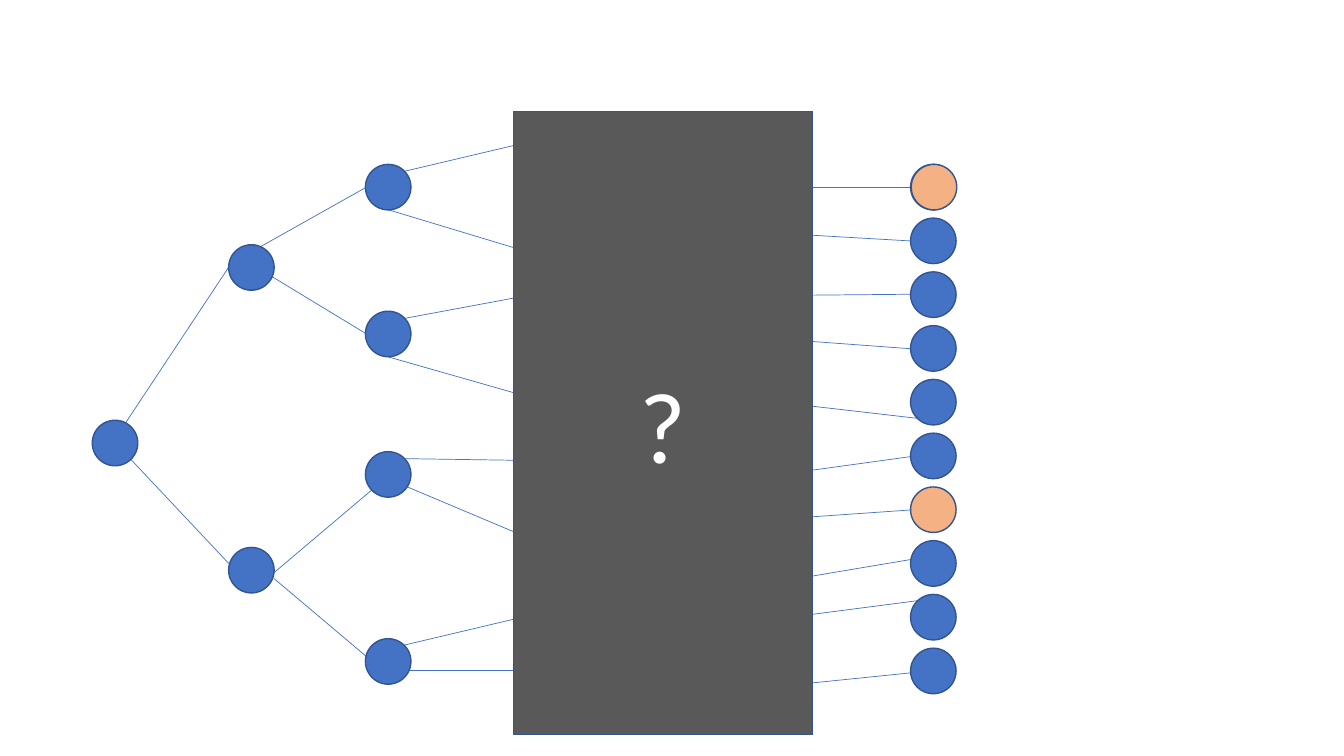
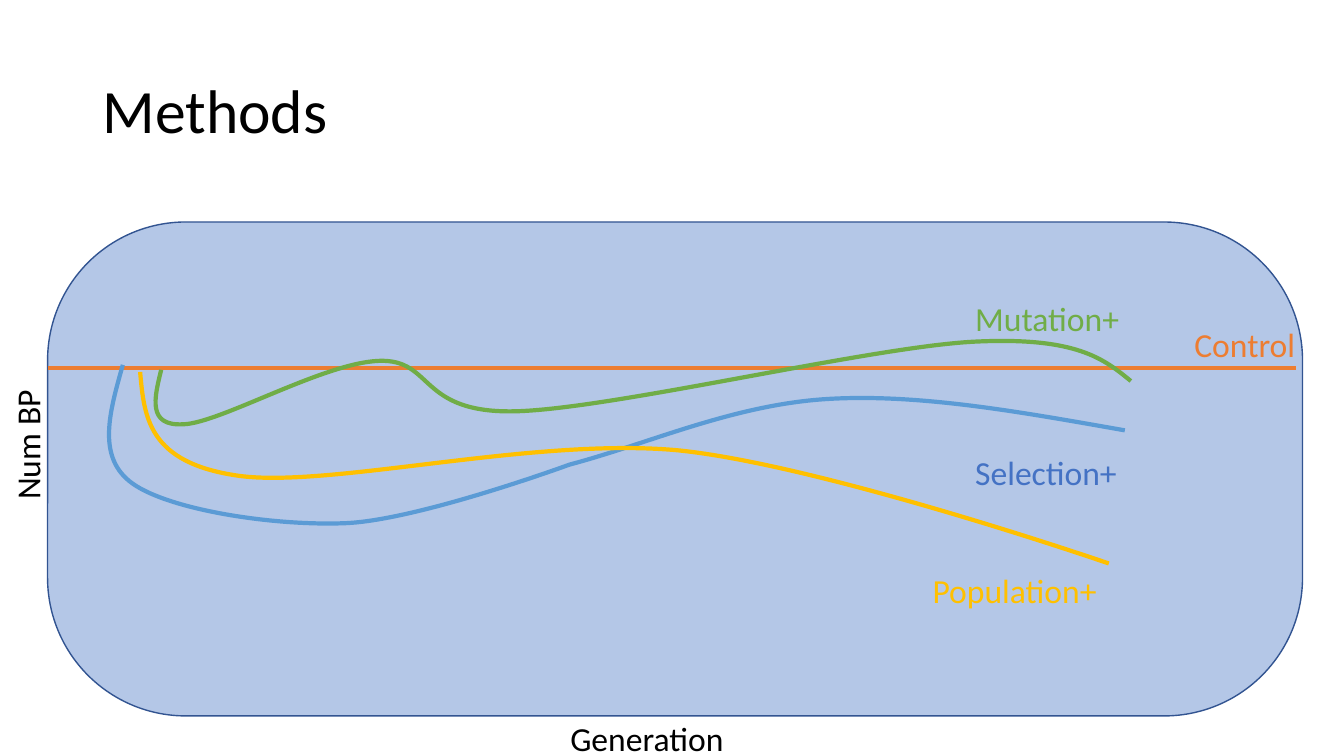
from lxml import etree
from pptx import Presentation
from pptx.dml.color import RGBColor
from pptx.enum import shapes, text
from pptx.oxml import parse_xml
from pptx.oxml.ns import nsdecls, qn
from pptx.util import Pt

BLUE = RGBColor(0x44, 0x72, 0xC4)
NAVY = RGBColor(0x32, 0x54, 0x91)
PEACH = RGBColor(0xF4, 0xB1, 0x83)
GREY = RGBColor(0x59, 0x59, 0x59)
PALE = RGBColor(0xB4, 0xC7, 0xE7)
ORANGE = RGBColor(0xED, 0x7D, 0x31)
GREEN = RGBColor(0x70, 0xAD, 0x47)
SKY = RGBColor(0x5B, 0x9B, 0xD5)
GOLD = RGBColor(0xFF, 0xC0, 0x00)
BLACK = RGBColor(0, 0, 0)
WHITE = RGBColor(0xFF, 0xFF, 0xFF)
FONT = "Calibri"

# Tree: each column is its left edge and the tops of its nodes
DOT = 32.5
TREE = [
    (65.9, [300.2]),
    (163.3, [174.8, 391]),
    (261, [117.4, 222.3, 322.6, 456.2]),
]
BRANCHES = [
    (82.8, 312.5, 163.4, 190.8),
    (82.8, 316.8, 163.4, 402.5),
    (179.3, 180, 261.4, 133.9),
    (187.9, 193.7, 261.4, 238.3),
    (195.8, 409, 265.7, 349.9),
    (195.8, 413.3, 265.7, 472.3),
    (288.7, 122.4, 377.3, 101.5),
    (277.2, 149.8, 377.3, 180),
    (288.7, 227.5, 377.3, 211),
    (277.2, 254.9, 383, 285.1),
    (288.7, 327.6, 383, 329),
    (277.2, 342, 383, 386.6),
    (288.7, 460.8, 383, 438.5),
    (280, 478.5, 386, 478.5),
]
BOX = (366.7, 79.6, 213.8, 445)

# Leaves: one even column, each with the line that leads back to the box
LEAF_X, LEAF_Y, LEAF_STEP, LEAVES = 650.4, 117.4, 38.4, 10
MARKED = 6
TOP_MARK = (650.9, 117.4)
EXITS = [
    (650.2, 133.9, 562.3, 133.9),
    (650.2, 172.1, 562.3, 167),
    (650.2, 210.2, 561.6, 211),
    (650.2, 249.1, 562.3, 242.6),
    (655.2, 298.8, 561.6, 288),
    (650.2, 326.2, 561.6, 338.4),
    (650.2, 364.3, 576.7, 369.4),
    (668.2, 396.7, 569.5, 413.3),
    (655.2, 429.1, 566.6, 440.6),
    (668.2, 478.8, 569.5, 488.9),
]

PANEL = (34, 158.6, 896.4, 352.8)
CONTROL = (34, 262.8, 925.9, 262.8)
LABELS = [
    ("Mutation+", (689.5, 209.2, 118, 36), GREEN, 0),
    ("Selection+", (689.5, 319, 116.6, 36), BLUE, 0),
    ("Population+", (659, 403.7, 133.2, 36), GOLD, 0),
    ("Control", (846, 228.2, 87.1, 36), ORANGE, 0),
    ("Num BP", (-27.4, 299.2, 93.6, 36), BLACK, 270),
    ("Generation", (400.3, 509, 125.3, 36), BLACK, 0),
]
# Curves: a start, then control, control, end for each cubic piece
CURVES = [
    (GREEN, [(115.2, 264.2),
             (110.2, 284.4), (105.1, 304.6), (131, 303.1),
             (157, 302.4), (231.1, 259.2), (270.7, 257.8),
             (310.3, 256.3), (298.1, 295.9), (369.4, 293.8),
             (439.9, 291.6), (622.8, 247.7), (696.2, 244.1),
             (769, 240.5), (788.4, 256.3), (807.8, 272.2)]),
    (SKY, [(87.8, 260.6),
           (78.5, 293.8), (68.4, 326.9), (95, 345.6),
           (121.7, 364.3), (195.1, 375.8), (247, 373.7),
           (298.8, 371.5), (406.8, 331.9), (406.8, 331.9),
           (463.7, 316.8), (523.4, 289.4), (589.7, 285.1),
           (655.9, 280.8), (730.1, 294.5), (803.5, 307.4)]),
    (GOLD, [(100.1, 265.7),
            (103, 298.1), (105.8, 330.5), (169.9, 339.8),
            (234.7, 349.2), (381.6, 311.8), (485.3, 321.8),
            (589, 332.6), (792, 402.5), (792, 402.5)]),
]
STEPS = 24


def pts(nums):
    return [Pt(n) for n in nums]


def put(slide, kind, area, fill):
    shape = slide.shapes.add_shape(kind, *pts(area))
    shape.shadow.inherit = False
    shape.fill.solid()
    shape.fill.fore_color.rgb = fill
    shape.line.color.rgb = NAVY
    shape.line.width = Pt(1)
    return shape


def dot(slide, left, top, fill=BLUE):
    put(slide, shapes.MSO_SHAPE.OVAL, (left, top, DOT, DOT), fill)


def link(slide, ends, color, width):
    line = slide.shapes.add_connector(shapes.MSO_CONNECTOR.STRAIGHT, *pts(ends))
    line.line.color.rgb = color
    line.line.width = Pt(width)
    line._element.spPr.append(parse_xml(f"<a:effectLst {nsdecls('a')}/>"))


def write(frame, words, size, color):
    para = frame.paragraphs[0]
    run = para.add_run()
    run.text = words
    run.font.name = FONT
    run.font.size = Pt(size)
    run.font.color.rgb = color
    return para


def title(slide, words):
    frame = slide.shapes.add_textbox(*pts((66.2, 28.8, 828, 104.4))).text_frame
    frame.word_wrap = True
    frame.vertical_anchor = text.MSO_ANCHOR.MIDDLE
    write(frame, words, 44, BLACK).line_spacing = 0.9


def label(slide, words, area, color, turn):
    box = slide.shapes.add_textbox(*pts(area))
    box.rotation = turn
    box.text_frame.word_wrap = False
    box.text_frame.auto_size = text.MSO_AUTO_SIZE.SHAPE_TO_FIT_TEXT
    write(box.text_frame, words, 24, color)


def trace(knots):
    """Sample a chain of cubic pieces, to find its true bounds."""
    for i in range(0, len(knots) - 1, 3):
        piece = knots[i:i + 4]
        for n in range(1, STEPS + 1):
            t = n / STEPS
            s = 1 - t
            mix = (s ** 3, 3 * s * s * t, 3 * s * t * t, t ** 3)
            yield tuple(Pt(sum(m * p[axis] for m, p in zip(mix, piece)))
                        for axis in (0, 1))


def bend(shape, knots):
    """Swap the outline's straight pieces for the cubic ones."""
    route = shape._element.find(".//" + qn("a:path"))
    for child in list(route):
        route.remove(child)
    moves = [("a:moveTo", knots[:1])]
    moves += [("a:cubicBezTo", knots[i:i + 3]) for i in range(1, len(knots), 3)]
    for tag, spots in moves:
        move = etree.SubElement(route, qn(tag))
        for x, y in spots:
            etree.SubElement(move, qn("a:pt"), x=str(Pt(x) - shape.left),
                             y=str(Pt(y) - shape.top))


def curve(slide, color, knots):
    pen = slide.shapes.build_freeform(*pts(knots[0]))
    pen.add_line_segments(list(trace(knots)), close=False)
    shape = pen.convert_to_shape()
    bend(shape, knots)
    shape.shadow.inherit = False
    shape.fill.background()
    shape.line.color.rgb = color
    shape.line.width = Pt(3)


def draw_tree(slide):
    for ends in BRANCHES + EXITS:
        link(slide, ends, BLUE, 0.5)
    for left, tops in TREE:
        for top in tops:
            dot(slide, left, top)
    for i in range(LEAVES):
        dot(slide, LEAF_X, LEAF_Y + i * LEAF_STEP, PEACH if i == MARKED else BLUE)
    dot(slide, *TOP_MARK, PEACH)
    box = put(slide, shapes.MSO_SHAPE.RECTANGLE, BOX, GREY)
    box.text_frame.vertical_anchor = text.MSO_ANCHOR.MIDDLE
    write(box.text_frame, "?", 72, WHITE).alignment = text.PP_ALIGN.CENTER


def draw_methods(slide):
    panel = put(slide, shapes.MSO_SHAPE.ROUNDED_RECTANGLE, PANEL, PALE)
    panel.adjustments[0] = 0.28
    title(slide, "Methods")
    link(slide, CONTROL, ORANGE, 3)
    for item in LABELS:
        label(slide, *item)
    for item in CURVES:
        curve(slide, *item)


def main():
    deck = Presentation()
    deck.slide_width, deck.slide_height = pts((960, 540))
    for draw in (draw_tree, draw_methods):
        draw(deck.slides.add_slide(deck.slide_layouts[6]))
    deck.save("out.pptx")


if __name__ == "__main__":
    main()
